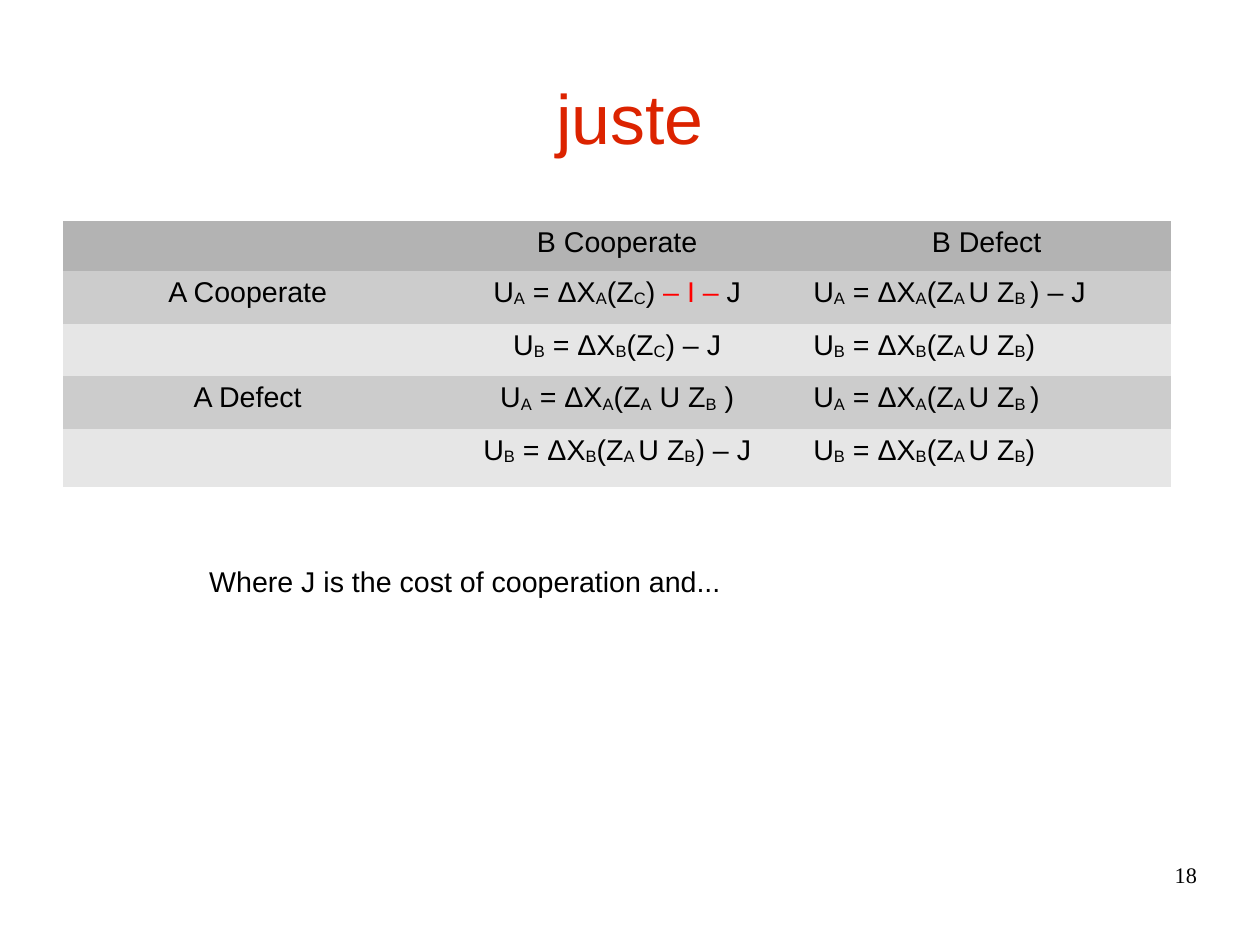
from pptx import Presentation
from pptx import util as u
from pptx.dml.color import RGBColor
from pptx.enum import text
from pptx.oxml import ns

RED_TITLE = RGBColor(0xDC, 0x23, 0x00)
RED = RGBColor(0xFF, 0x00, 0x00)
BLACK = RGBColor(0x00, 0x00, 0x00)
HEADER_GREY = RGBColor(0xB3, 0xB3, 0xB3)
BAND_GREYS = (RGBColor(0xCC, 0xCC, 0xCC), RGBColor(0xE6, 0xE6, 0xE6))

NO_STYLE = "{2D5ABB26-0587-4C30-8999-92F81FD0307C}"
COLUMN_WIDTH = 8.21
ROW_HEIGHTS = (1.12, 1.17, 1.17, 1.17, 1.3)

# Bars enclose subscripts, tildes enclose red text
PAYOFFS = (
    ("", "B Cooperate", "B Defect"),
    ("A Cooperate", "U|A| = ΔX|A|(Z|C|) ~– I – ~J", "U|A| = ΔX|A|(Z|A |U Z|B |) – J"),
    ("", "U|B| = ΔX|B|(Z|C|) – J", "U|B| = ΔX|B|(Z|A |U Z|B|)"),
    ("A Defect", "U|A| = ΔX|A|(Z|A| U Z|B| )", "U|A| = ΔX|A|(Z|A |U Z|B |)"),
    ("", "U|B| = ΔX|B|(Z|A |U Z|B|) – J", "U|B| = ΔX|B|(Z|A |U Z|B|)"),
)


def format_run(run, size, color=BLACK, name="Arial"):
    run.font.size = u.Pt(size)
    run.font.name = name
    run.font.color.rgb = color


def write_formula(paragraph, formula):
    for part_index, part in enumerate(formula.split("|")):
        for piece_index, piece in enumerate(part.split("~")):
            if not piece:
                continue
            run = paragraph.add_run()
            run.text = piece
            format_run(run, 18, RED if piece_index % 2 else BLACK)
            if part_index % 2:
                run.font._element.set("baseline", "-8000")


def fill_frame(frame, content, size, color=BLACK, name="Arial", align=None, margin=0.0):
    frame.margin_left = frame.margin_right = u.Cm(2 * margin)
    frame.margin_top = frame.margin_bottom = u.Cm(margin)
    frame.text = content
    paragraph = frame.paragraphs[0]
    paragraph.alignment = align
    format_run(paragraph.runs[0], size, color, name)


def place_title(slide, content):
    title = slide.shapes.title
    title.left, title.top = u.Cm(1.4), u.Cm(0.84)
    title.width, title.height = u.Cm(25.2), u.Cm(3.51)
    title.text_frame.vertical_anchor = text.MSO_ANCHOR.MIDDLE
    fill_frame(title.text_frame, content, 44, RED_TITLE, align=text.PP_ALIGN.CENTER)


def add_payoff_table(slide):
    table = slide.shapes.add_table(
        len(PAYOFFS), len(PAYOFFS[0]), u.Cm(1.4), u.Cm(4.9),
        u.Cm(3 * COLUMN_WIDTH), u.Cm(sum(ROW_HEIGHTS))).table
    table.horz_banding = False
    table._tbl.tblPr.find(ns.qn("a:tableStyleId")).text = NO_STYLE
    for column in table.columns:
        column.width = u.Cm(COLUMN_WIDTH)
    for row_index, formulas in enumerate(PAYOFFS):
        table.rows[row_index].height = u.Cm(ROW_HEIGHTS[row_index])
        for column_index, formula in enumerate(formulas):
            cell = table.cell(row_index, column_index)
            cell.fill.solid()
            cell.fill.fore_color.rgb = BAND_GREYS[(row_index - 1) % 2] if row_index else HEADER_GREY
            paragraph = cell.text_frame.paragraphs[0]
            if row_index == 0 or column_index < 2:
                paragraph.alignment = text.PP_ALIGN.CENTER
            write_formula(paragraph, formula)


def add_text(slide, left, top, width, height, content, size, wrap=True, **style):
    box = slide.shapes.add_textbox(u.Cm(left), u.Cm(top), u.Cm(width), u.Cm(height))
    box.text_frame.word_wrap = wrap
    fill_frame(box.text_frame, content, size, **style)


def main():
    presentation = Presentation()
    presentation.slide_width, presentation.slide_height = u.Cm(28), u.Cm(21)
    slide = presentation.slides.add_slide(presentation.slide_layouts[5])

    # Title and payoff matrix
    place_title(slide, "juste")
    add_payoff_table(slide)

    # Explanation and page number
    add_text(slide, 4.39, 12.4, 12.42, 1.12, "Where J is the cost of cooperation and...",
             18, wrap=False, margin=0.13)
    add_text(slide, 20.07, 19.13, 6.53, 1.45, "18", 14,
             name="Times New Roman", align=text.PP_ALIGN.RIGHT)

    presentation.save("out.pptx")


if __name__ == "__main__":
    main()
